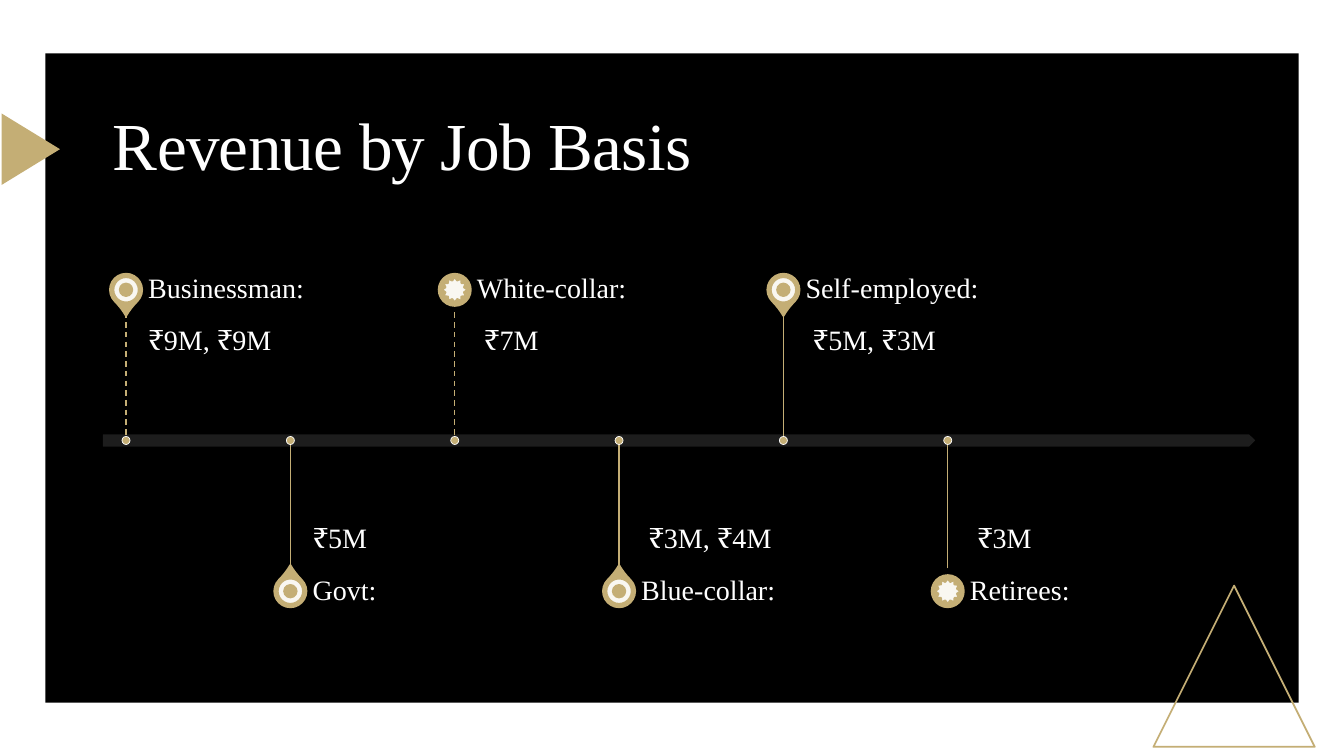
from lxml import etree
from pptx import Presentation
from pptx import util as u
from pptx.dml.color import RGBColor
from pptx.enum import dml, shapes, text
from pptx.oxml import ns

BLACK = RGBColor(0x00, 0x00, 0x00)
WHITE = RGBColor(0xFF, 0xFF, 0xFF)
GOLD = RGBColor(0xC4, 0xAE, 0x75)
CHARCOAL = RGBColor(0x21, 0x21, 0x21)
FONT = "Times New Roman"
SHAPE = shapes.MSO_SHAPE
ANCHOR = text.MSO_ANCHOR

FIRST_X, STEP = 1.25, 1.63
AXIS_Y = 4.37
STEM = 1.27
LABEL_HEIGHT = 0.45
PIN, SYMBOL, DOT = 0.32, 0.25, 0.08

# Job, revenue, pin, dashed stem, indent of the revenue
JOBS = [
    ("Businessman:", "₹9M, ₹9M", SHAPE.TEAR, True, 0),
    ("Govt:", "₹5M", SHAPE.TEAR, False, 0),
    ("White-collar:", "₹7M", SHAPE.OVAL, True, 0.07),
    ("Blue-collar:", "₹3M, ₹4M", SHAPE.TEAR, False, 0.07),
    ("Self-employed:", "₹5M, ₹3M", SHAPE.TEAR, False, 0.07),
    ("Retirees:", "₹3M", SHAPE.OVAL, False, 0.07),
]


class SlideBuilder:
    def __init__(self, slide):
        self.slide = slide

    def shape(self, kind, left, top, width, height, fill=None, line=None,
              line_width=1.25, rotation=0, opacity=None):
        shape = self.slide.shapes.add_shape(
            kind, *map(u.Inches, (left, top, width, height)))
        shape.shadow.inherit = False
        shape.rotation = rotation
        if fill is None:
            shape.fill.background()
        else:
            shape.fill.solid()
            shape.fill.fore_color.rgb = fill
        if line is None:
            shape.line.fill.background()
        else:
            shape.line.color.rgb = line
            shape.line.width = u.Pt(line_width)
        if opacity is not None:
            color = shape.element.spPr.find(
                f"{ns.qn('a:solidFill')}/{ns.qn('a:srgbClr')}")
            etree.SubElement(color, ns.qn("a:alpha"), val=str(opacity * 1000))
        return shape

    def centered(self, kind, x, y, size, **style):
        return self.shape(kind, x - size / 2, y - size / 2, size, size, **style)

    def line(self, x, start_y, end_y, dashed):
        line = self.slide.shapes.add_connector(
            shapes.MSO_CONNECTOR.STRAIGHT,
            *map(u.Inches, (x, start_y, x, end_y)))
        line.line.color.rgb = GOLD
        line.line.width = u.Pt(1)
        if dashed:
            line.line.dash_style = dml.MSO_LINE.DASH
        etree.SubElement(line.element.spPr, ns.qn("a:effectLst"))

    def add_words(self, frame, words, size, anchor):
        frame.word_wrap = True
        frame.auto_size = text.MSO_AUTO_SIZE.NONE
        frame.vertical_anchor = anchor
        paragraph = frame.paragraphs[0]
        paragraph.alignment = text.PP_ALIGN.LEFT
        paragraph.line_spacing = 0.9
        run = paragraph.add_run()
        run.text = words
        run.font.name = FONT
        run.font.size = u.Pt(size)
        run.font.color.rgb = WHITE

    def text(self, words, left, top, height, anchor, margins):
        box = self.slide.shapes.add_textbox(
            *map(u.Inches, (left, top, 2.71, height)))
        frame = box.text_frame
        (frame.margin_left, frame.margin_top,
         frame.margin_right, frame.margin_bottom) = map(u.Inches, margins)
        self.add_words(frame, words, 20, anchor)

    def title(self, words):
        title = self.slide.shapes.title
        title.left, title.top, title.width, title.height = map(
            u.Inches, (1.02, 0.98, 11.43, 1))
        self.add_words(title.text_frame, words, 48, ANCHOR.MIDDLE)
        # Tighten the letter spacing
        for properties in title.element.iter(ns.qn("a:rPr")):
            properties.set("spc", "-50")
        # Bring the title in front of the backdrop
        title.element.getparent().append(title.element)

    def milestone(self, x, above, job, revenue, pin_kind, dashed, indent):
        direction = -1 if above else 1
        stem_end = AXIS_Y + direction * STEM
        label_top = stem_end - LABEL_HEIGHT if above else stem_end
        pin_y = stem_end + direction * LABEL_HEIGHT / 2
        text_left = x + 0.22

        # Pin
        pin = self.centered(pin_kind, x, pin_y, PIN, fill=GOLD, line=GOLD,
                            rotation=135 if above else 315)
        symbol = SHAPE.STAR_12_POINT
        if pin_kind == SHAPE.TEAR:
            pin.adjustments[0] = 1.15
            symbol = SHAPE.DONUT
        self.centered(symbol, x, pin_y, SYMBOL, fill=WHITE, line=GOLD,
                      opacity=90)

        # Revenue and job
        if above:
            self.text(revenue, text_left, stem_end, STEM, ANCHOR.TOP,
                      (indent, 0.14, 0.14, 0.21))
        else:
            self.text(revenue, text_left, AXIS_Y, STEM, ANCHOR.BOTTOM,
                      (indent, 0.21, 0, 0.14))
        self.text(job, text_left, label_top, LABEL_HEIGHT, ANCHOR.MIDDLE,
                  (0, 0, 0.14, 0))

        # Stem and dot
        self.line(x, stem_end, AXIS_Y, dashed)
        self.centered(SHAPE.OVAL, x, AXIS_Y, DOT, fill=GOLD, line=WHITE,
                      line_width=0.5)


def main():
    presentation = Presentation()
    presentation.slide_width = u.Inches(13.33)
    presentation.slide_height = u.Inches(7.5)
    builder = SlideBuilder(
        presentation.slides.add_slide(presentation.slide_layouts[5]))

    # Backdrop
    builder.shape(SHAPE.RECTANGLE, 0.45, 0.53, 12.43, 6.44, fill=BLACK)
    builder.shape(SHAPE.ISOSCELES_TRIANGLE, 11.44, 5.81, 1.6, 1.6, line=GOLD)
    builder.shape(SHAPE.ISOSCELES_TRIANGLE, -0.05, 1.19, 0.71, 0.58,
                  fill=GOLD, rotation=90)

    # Timeline
    builder.shape(SHAPE.PENTAGON, 1.02, 4.31, 11.43, 0.12, fill=CHARCOAL,
                  opacity=90)
    for index, job in enumerate(JOBS):
        builder.milestone(FIRST_X + index * STEP, index % 2 == 0, *job)

    # Title
    builder.title("Revenue by Job Basis")
    presentation.save("out.pptx")


if __name__ == "__main__":
    main()
